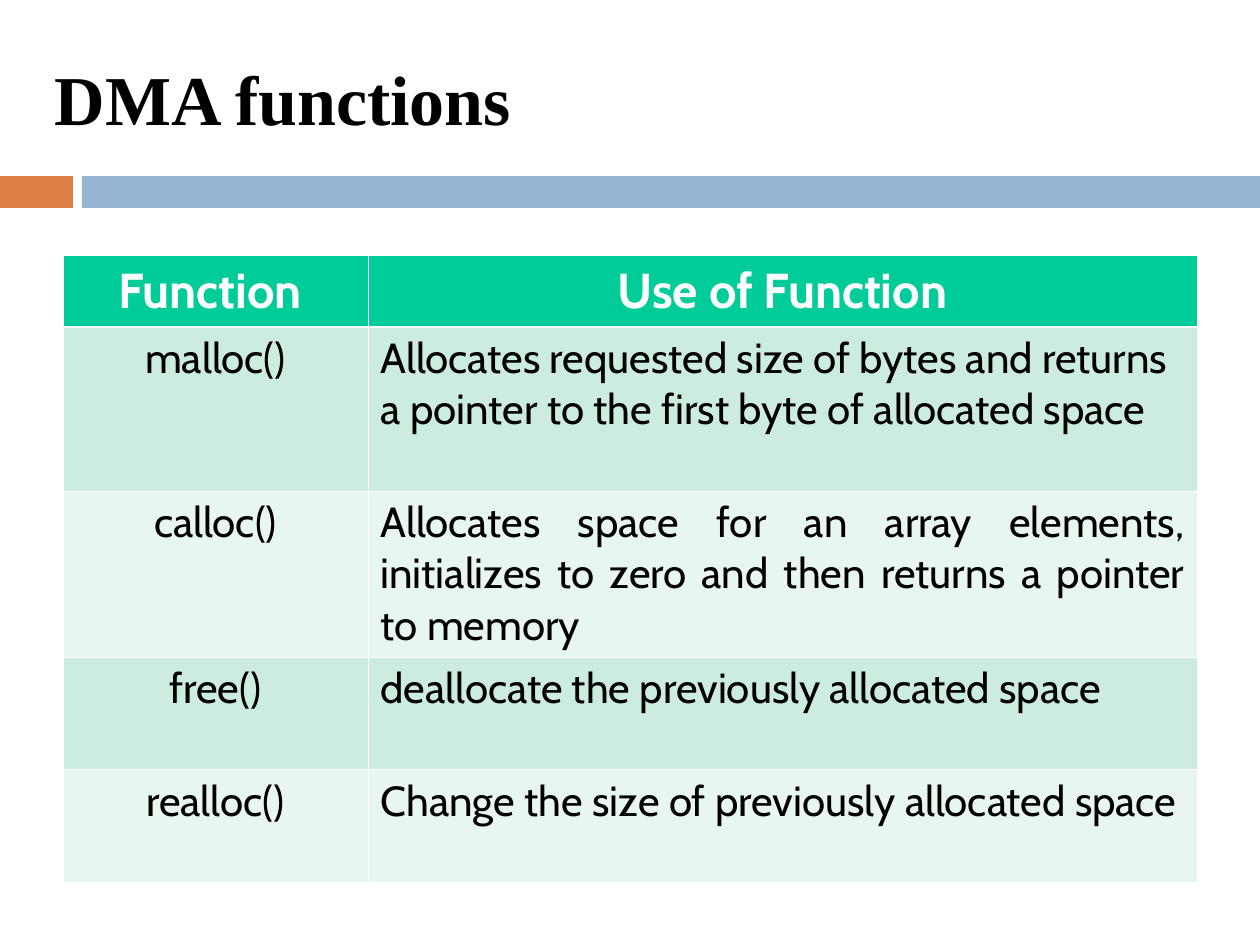
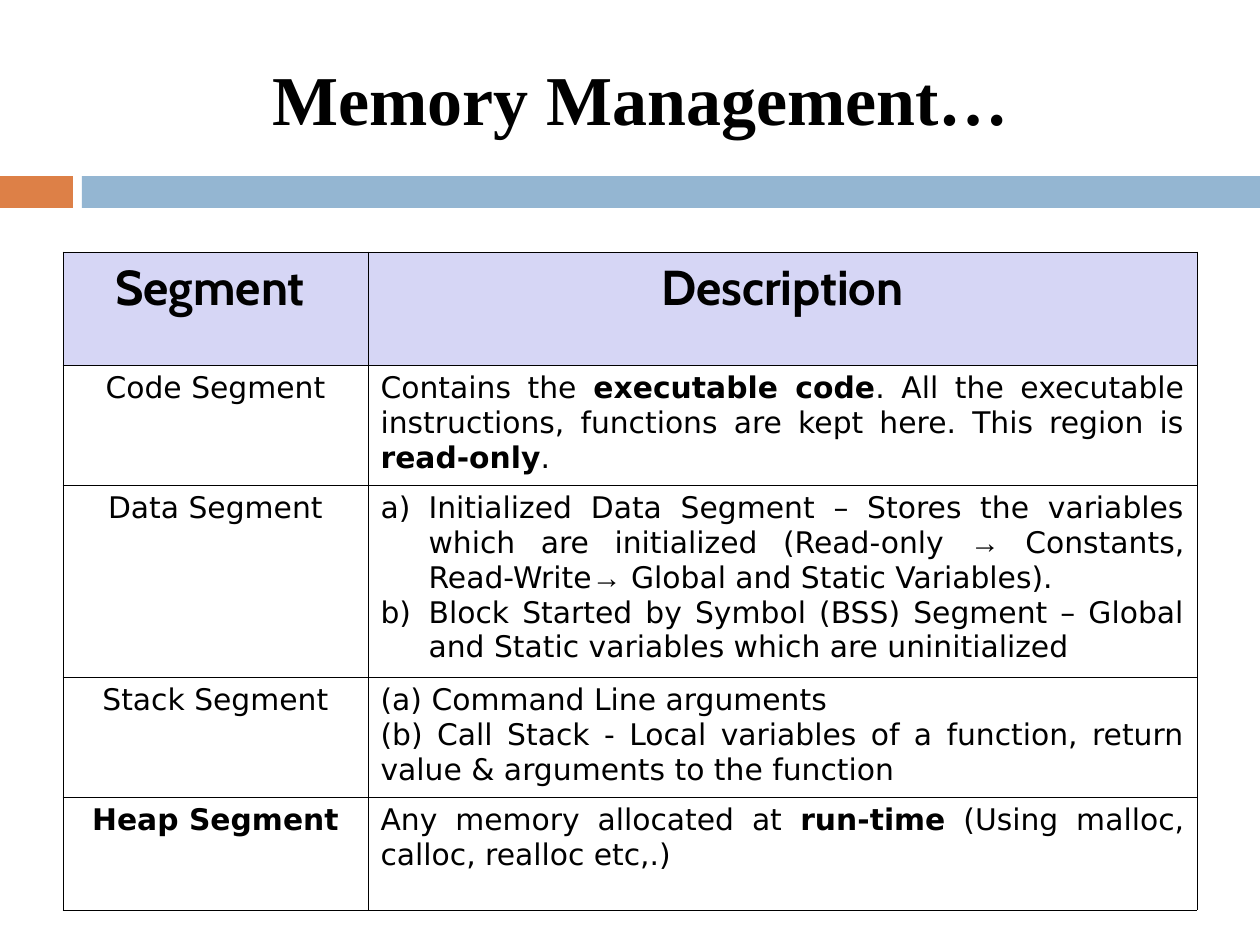
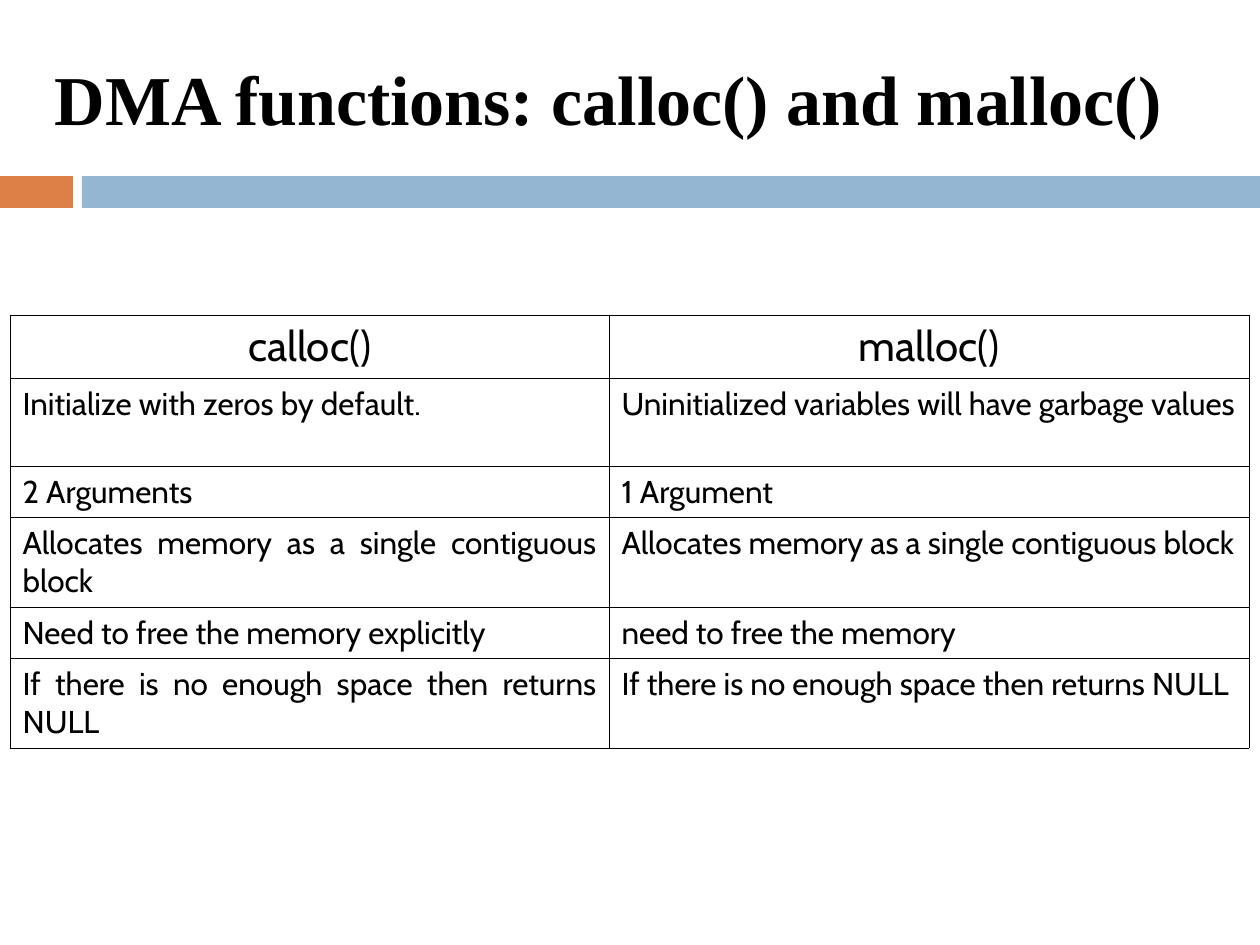
from dataclasses import dataclass
from functools import partial

from lxml import etree
from pptx import Presentation
from pptx import util as u
from pptx.dml.color import RGBColor
from pptx.enum import shapes, text
from pptx.oxml.ns import qn

EMU_PER_PX = 914400 / 126
COLOURS = {
    "ink": "000000", "white": "FFFFFF",
    "orange band": "DD8047", "blue band": "94B6D2",
    "green head": "00CC99", "green dark": "CBECDE", "green light": "E7F6EF",
    "lilac head": "D6D6F5",
}
LEFT, CENTER, JUSTIFY = (text.PP_ALIGN.LEFT, text.PP_ALIGN.CENTER,
                         text.PP_ALIGN.JUSTIFY)
TITLE_FACE, CABIN, DEJAVU, SYMBOL = ("Times New Roman", "Cabin",
                                     "DejaVu Sans", "Arial")
TITLE_ONLY = 5
THIN, THICK = 0.45, 1.47
LIST_INDENT = 48
ARROW = ("→", {"name": SYMBOL})


@dataclass
class Para:
    """One paragraph; each span is a string or a (string, font settings) pair."""
    spans: tuple
    size: int
    face: str
    align: int = JUSTIFY
    bold: bool = False
    colour: str = "ink"
    numbered: bool = False


def px(length):
    return u.Emu(round(length * EMU_PER_PX))


def rgb(name):
    return RGBColor.from_string(COLOURS[name])


def para(*spans, **style):
    return Para(spans, **style)


def bold(words):
    return words, {"bold": True}


def write_paragraph(target, item):
    target.alignment = item.align
    font = target.font
    font.size, font.name, font.bold = u.Pt(item.size), item.face, item.bold
    font.color.rgb = rgb(item.colour)
    for span in item.spans:
        words, changes = (span, {}) if isinstance(span, str) else span
        run = target.add_run()
        run.text = words
        for name, value in changes.items():
            setattr(run.font, name, value)
    if item.numbered:
        number_paragraph(target)


def number_paragraph(target):
    """Give the paragraph an a), b) number with a hanging indent."""
    properties = target._p.get_or_add_pPr()
    properties.set("marL", str(px(LIST_INDENT)))
    properties.set("indent", str(-px(LIST_INDENT)))
    number = etree.Element(qn("a:buAutoNum"), type="alphaLcParenR")
    properties.insert(0, number)


def write_frame(frame, items):
    frame.word_wrap = True
    for index, item in enumerate(items):
        target = frame.add_paragraph() if index else frame.paragraphs[0]
        write_paragraph(target, item)


def set_borders(cell, colour, top, bottom):
    properties = cell._tc.get_or_add_tcPr()
    widths = {"L": THIN, "R": THIN, "T": top, "B": bottom}
    for index, (side, width) in enumerate(widths.items()):
        line = etree.Element(qn(f"a:ln{side}"), w=str(u.Pt(width)))
        fill = etree.SubElement(line, qn("a:solidFill"))
        etree.SubElement(fill, qn("a:srgbClr"), val=COLOURS[colour])
        properties.insert(index, line)


def add_grid(page, left, top, widths, heights, rows, fills, line, head_line=THIN):
    """Add a table; fills holds one colour name or None for each row."""
    frame = page.shapes.add_table(len(heights), len(widths), px(left), px(top),
                                  px(sum(widths)), px(sum(heights)))
    table = frame.table
    table.first_row = table.horz_banding = False
    for column, width in zip(table.columns, widths):
        column.width = px(width)
    for row, height in zip(table.rows, heights):
        row.height = px(height)
    for index, (row, fill) in enumerate(zip(rows, fills)):
        for cell, items in zip(table.rows[index].cells, row):
            cell.margin_left = cell.margin_right = u.Inches(0.1)
            cell.margin_top = cell.margin_bottom = u.Inches(0.05)
            set_borders(cell, line,
                        top=head_line if index == 1 else THIN,
                        bottom=head_line if index == 0 else THIN)
            if fill:
                cell.fill.solid()
                cell.fill.fore_color.rgb = rgb(fill)
            else:
                cell.fill.background()
            write_frame(cell.text_frame, items)


def add_band(page, left, width, colour):
    band = page.shapes.add_shape(shapes.MSO_SHAPE.RECTANGLE,
                                 px(left), px(176), px(width), px(32))
    band.shadow.inherit = False
    band.fill.solid()
    band.fill.fore_color.rgb = rgb(colour)
    band.line.fill.background()


def add_page(deck, title, align=LEFT):
    """Add a slide with the shared title style and the two bands."""
    page = deck.slides.add_slide(deck.slide_layouts[TITLE_ONLY])
    add_band(page, 0, 73, "orange band")
    add_band(page, 82, 1178, "blue band")
    box = page.shapes.title
    box.left, box.top, box.width, box.height = px(42), px(49), px(1197), px(97)
    frame = box.text_frame
    frame.auto_size = text.MSO_AUTO_SIZE.NONE
    frame.vertical_anchor = text.MSO_ANCHOR.TOP
    write_frame(frame, [para(title, size=40, face=TITLE_FACE, align=align,
                             bold=True)])
    return page


def add_functions_page(deck):
    page = add_page(deck, "DMA functions")
    head = partial(para, size=28, face=CABIN, align=CENTER, bold=True,
                   colour="white")
    body = partial(para, size=24, face=CABIN)
    uses = [
        ("malloc()", LEFT, "Allocates requested size of bytes and returns "
         "a pointer to the first byte of allocated space"),
        ("calloc()", JUSTIFY, "Allocates space for an array elements, "
         "initializes to zero and then returns a pointer to memory"),
        ("free()", LEFT, "deallocate the previously allocated space"),
        ("realloc()", LEFT, "Change the size of previously allocated space"),
    ]
    rows = [[[head("Function ")], [head("Use of Function")]]]
    rows += [[[body(name, align=CENTER)], [body(use, align=align)]]
             for name, align, use in uses]
    add_grid(page, 63, 255, [305, 829], [71, 164, 164, 113, 113], rows,
             ["green head"] + ["green dark", "green light"] * 2,
             line="white", head_line=THICK)


def add_segments_page(deck):
    page = add_page(deck, "Memory Management…", CENTER)
    head = partial(para, size=28, face=CABIN, align=CENTER, bold=True)
    body = partial(para, size=17, face=DEJAVU)
    name = partial(body, align=CENTER)
    rows = [
        [[head("Segment ")], [head("Description")]],
        [[name("Code Segment")],
         [body("Contains the ", bold("executable code"),
               ". All the executable instructions, functions are kept here. "
               "This region is ", bold("read-only"), ".")]],
        [[name("Data Segment")],
         [body("Initialized Data Segment – Stores the variables which are "
               "initialized (Read-only ", ARROW, " Constants, Read-Write",
               ARROW, " Global and Static Variables).", numbered=True),
          body("Block Started by Symbol (BSS) Segment – Global and Static "
               "variables which are uninitialized", numbered=True)]],
        [[name("Stack Segment")],
         [body("(a) Command Line arguments "),
          body("(b) Call Stack - Local variables of a function, return value "
               "& arguments to the function")]],
        [[name("Heap Segment", bold=True)],
         [body("Any memory allocated at ", bold("run-time"),
               " (Using malloc, calloc, realloc etc,.)")]],
    ]
    add_grid(page, 63, 252, [305, 829], [113, 120, 192, 120, 113], rows,
             ["lilac head"] + [None] * 4, line="ink")


def add_comparison_page(deck):
    page = add_page(deck, "DMA functions: calloc() and malloc()")
    head = partial(para, size=24, face=CABIN, align=CENTER)
    body = partial(para, size=18, face=CABIN)
    block = "Allocates memory as a single contiguous block"
    no_space = "If there is no enough space then returns NULL"
    pairs = [
        ("Initialize with zeros by default.",
         "Uninitialized variables will have garbage values"),
        ("2 Arguments", "1 Argument"),
        (block, block),
        ("Need to free the memory explicitly", "need to free the memory"),
        (no_space, no_space),
    ]
    rows = [[[head("calloc()")], [head("malloc()")]]]
    rows += [[[body(words)] for words in pair] for pair in pairs]
    add_grid(page, 10, 315, [599, 640], [63, 88, 50, 88, 50, 88], rows,
             [None] * len(rows), line="ink")


def main():
    deck = Presentation()
    deck.slide_width, deck.slide_height = px(1260), px(945)
    add_functions_page(deck)
    add_segments_page(deck)
    add_comparison_page(deck)
    deck.save("out.pptx")


if __name__ == "__main__":
    main()
